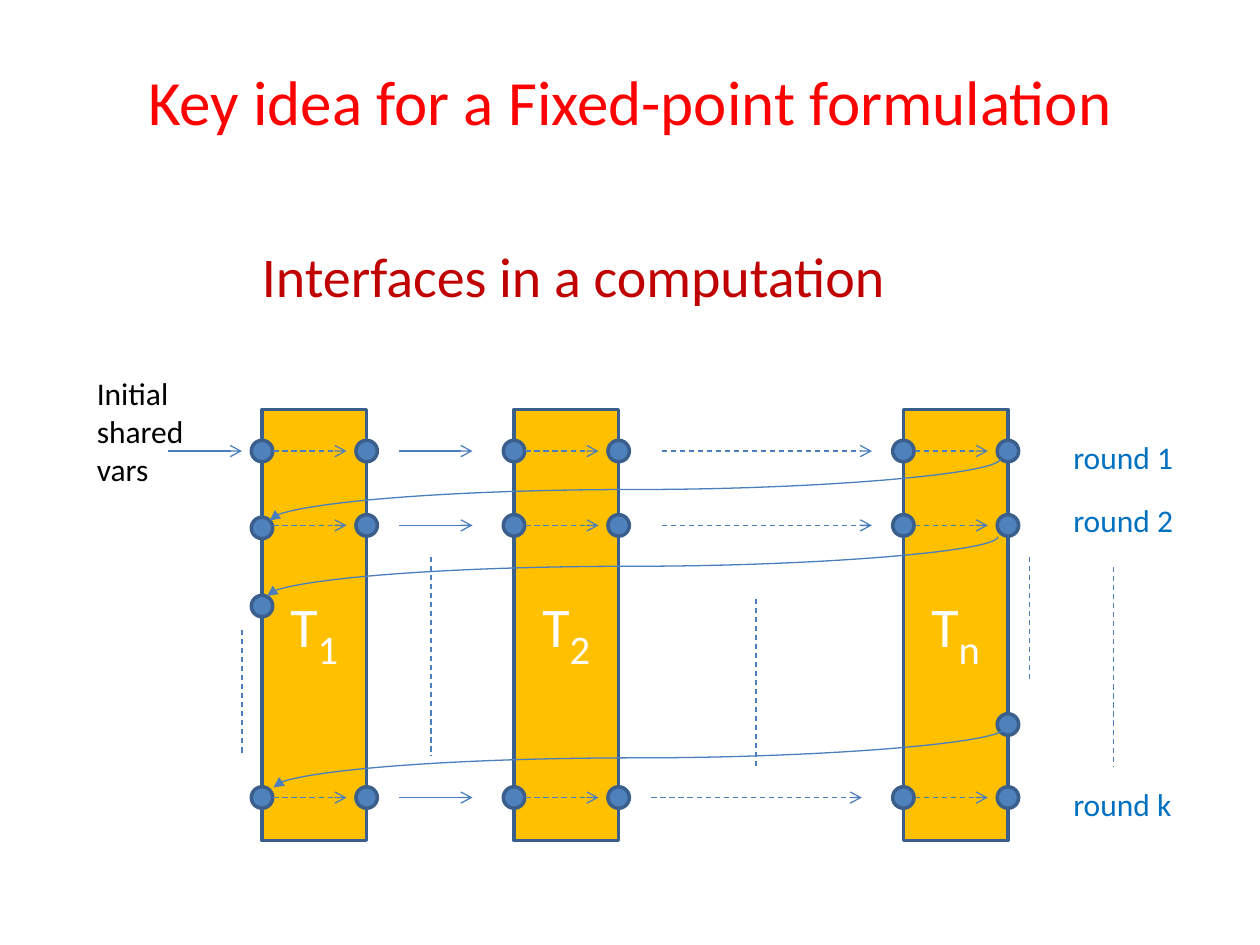
from dataclasses import dataclass
from lxml.etree import SubElement
from pptx import Presentation
from pptx.dml.color import RGBColor
from pptx.enum.dml import MSO_LINE
from pptx.enum.shapes import MSO_CONNECTOR, MSO_SHAPE
from pptx.enum.text import MSO_ANCHOR, MSO_AUTO_SIZE, PP_ALIGN
from pptx.oxml.ns import qn
from pptx.util import Inches, Pt


@dataclass(frozen=True)
class Theme:
    font: str = "Calibri"
    title: RGBColor = RGBColor(0xFF, 0x00, 0x00)
    subtitle: RGBColor = RGBColor(0xC0, 0x00, 0x00)
    black: RGBColor = RGBColor(0x00, 0x00, 0x00)
    white: RGBColor = RGBColor(0xFF, 0xFF, 0xFF)
    round: RGBColor = RGBColor(0x00, 0x70, 0xC0)
    thread: RGBColor = RGBColor(0xFF, 0xC0, 0x00)
    node: RGBColor = RGBColor(0x4F, 0x81, 0xBD)
    outline: RGBColor = RGBColor(0x3A, 0x5F, 0x8C)
    arrow: RGBColor = RGBColor(0x4B, 0x7E, 0xBC)
    title_size: int = 36
    heading_size: int = 32
    subscript_size: int = 40
    label_size: int = 18


theme = Theme()
deck = Presentation()
deck.slide_width, deck.slide_height = Inches(10), Inches(7.5)
page = deck.slides.add_slide(deck.slide_layouts[6])


def write(para, text, size=theme.label_size, color=theme.black, align=PP_ALIGN.LEFT, baseline=None):
    para.alignment = align
    span = para.add_run()
    span.text = text
    span.font.name = theme.font
    span.font.size = Pt(size)
    span.font.color.rgb = color
    if baseline is not None:
        span.font._element.set("baseline", str(baseline))


def connect(start, end, head=None, dashed=False, curved=False):
    (x1, y1), (x2, y2) = start, end
    if curved:
        middle_x, middle_y = (x1 + x2) / 2, (y1 + y2) / 2
        half_drop, half_run = (y2 - y1) / 2, (x1 - x2) / 2
        x1, x2 = middle_x - half_drop, middle_x + half_drop
        y1, y2 = middle_y - half_run, middle_y + half_run
    kind = MSO_CONNECTOR.CURVE if curved else MSO_CONNECTOR.STRAIGHT
    link = page.shapes.add_connector(kind, Inches(x1), Inches(y1), Inches(x2), Inches(y2))
    link.line.color.rgb = theme.arrow
    link.line.width = Pt(0.75)
    if dashed:
        link.line.dash_style = MSO_LINE.DASH
    properties = link._element.spPr
    if curved:
        properties.find(qn("a:xfrm")).set("rot", "5400000")
    if head:
        SubElement(properties.find(qn("a:ln")), qn("a:tailEnd"), type=head)
    SubElement(properties, qn("a:effectLst"))


title_box = page.shapes.add_textbox(Inches(0.5), Inches(0.17), Inches(9), Inches(1.25))
title_box.text_frame.word_wrap = True
title_box.text_frame.vertical_anchor = MSO_ANCHOR.MIDDLE
write(title_box.text_frame.paragraphs[0], "Key idea for a Fixed-point formulation",
      size=theme.title_size, color=theme.title, align=PP_ALIGN.CENTER)

subtitle_box = page.shapes.add_textbox(Inches(1.98), Inches(1.87), Inches(7.86), Inches(0.83))
subtitle_box.text_frame.word_wrap = True
write(subtitle_box.text_frame.paragraphs[0], "Interfaces in a computation",
      size=theme.heading_size, color=theme.subtitle)

thread_width = 0.83
threads = {"1": 2.08, "2": 4.08, "n": 7.17}
round_rows = (3.58, 4.17, 6.33)
node_size = 0.17

for subscript, left in threads.items():
    thread = page.shapes.add_shape(
        MSO_SHAPE.RECTANGLE, Inches(left), Inches(3.25), Inches(thread_width), Inches(3.42))
    thread.shadow.inherit = False
    thread.fill.solid()
    thread.fill.fore_color.rgb = theme.thread
    thread.line.color.rgb = theme.outline
    thread.line.width = Pt(2)
    thread.text_frame.vertical_anchor = MSO_ANCHOR.MIDDLE
    para = thread.text_frame.paragraphs[0]
    write(para, "T", size=theme.heading_size, color=theme.white, align=PP_ALIGN.CENTER)
    write(para, subscript, size=theme.subscript_size, color=theme.white,
          align=PP_ALIGN.CENTER, baseline=-25000)

nodes = [(x, y) for left in threads.values() for x in (left, left + thread_width) for y in round_rows]
nodes[1] = (threads["1"], 4.19)
nodes += [(threads["1"], 4.81), (threads["n"] + thread_width, 5.75)]
for x, y in nodes:
    node = page.shapes.add_shape(
        MSO_SHAPE.OVAL, Inches(x - node_size / 2), Inches(y - node_size / 2),
        Inches(node_size), Inches(node_size))
    node.shadow.inherit = False
    node.fill.solid()
    node.fill.fore_color.rgb = theme.node
    node.line.color.rgb = theme.outline
    node.line.width = Pt(2)

connect((1.33, round_rows[0]), (1.92, round_rows[0]), head="arrow")
for y, gap_start in zip(round_rows, (5.25, 5.25, 5.17)):
    connect((3.17, y), (3.75, y), head="arrow")
    connect((gap_start, y), (gap_start + 1.67, y), head="arrow", dashed=True)
    for left in threads.values():
        connect((left + 0.09, y), (left + 0.67, y), head="arrow", dashed=True)

for x, top, bottom in ((1.92, 5, 6), (3.42, 4.42, 6), (6, 4.75, 6.08),
                       (8.17, 4.42, 5.42), (8.84, 4.5, 6.08)):
    connect((x, top), (x, bottom), dashed=True)

for start, end in (((7.94, 3.64), (2.14, 4.13)),
                   ((7.92, 4.26), (2.12, 4.73)),
                   ((7.97, 5.78), (2.17, 6.25))):
    connect(start, end, head="triangle", curved=True)

for lines, left, top, width, height, color in (
        (("Initial", "shared vars"), 0.67, 2.92, 1, 1.01, theme.black),
        (("round 1",), 8.42, 3.43, 1.17, 0.4, theme.round),
        (("round 2",), 8.42, 3.93, 1.17, 0.4, theme.round),
        (("round k",), 8.42, 6.18, 1.17, 0.4, theme.round)):
    label_box = page.shapes.add_textbox(Inches(left), Inches(top), Inches(width), Inches(height))
    frame = label_box.text_frame
    frame.word_wrap = True
    frame.auto_size = MSO_AUTO_SIZE.SHAPE_TO_FIT_TEXT
    for index, line in enumerate(lines):
        para = frame.add_paragraph() if index else frame.paragraphs[0]
        write(para, line, color=color)

deck.save("out.pptx")
